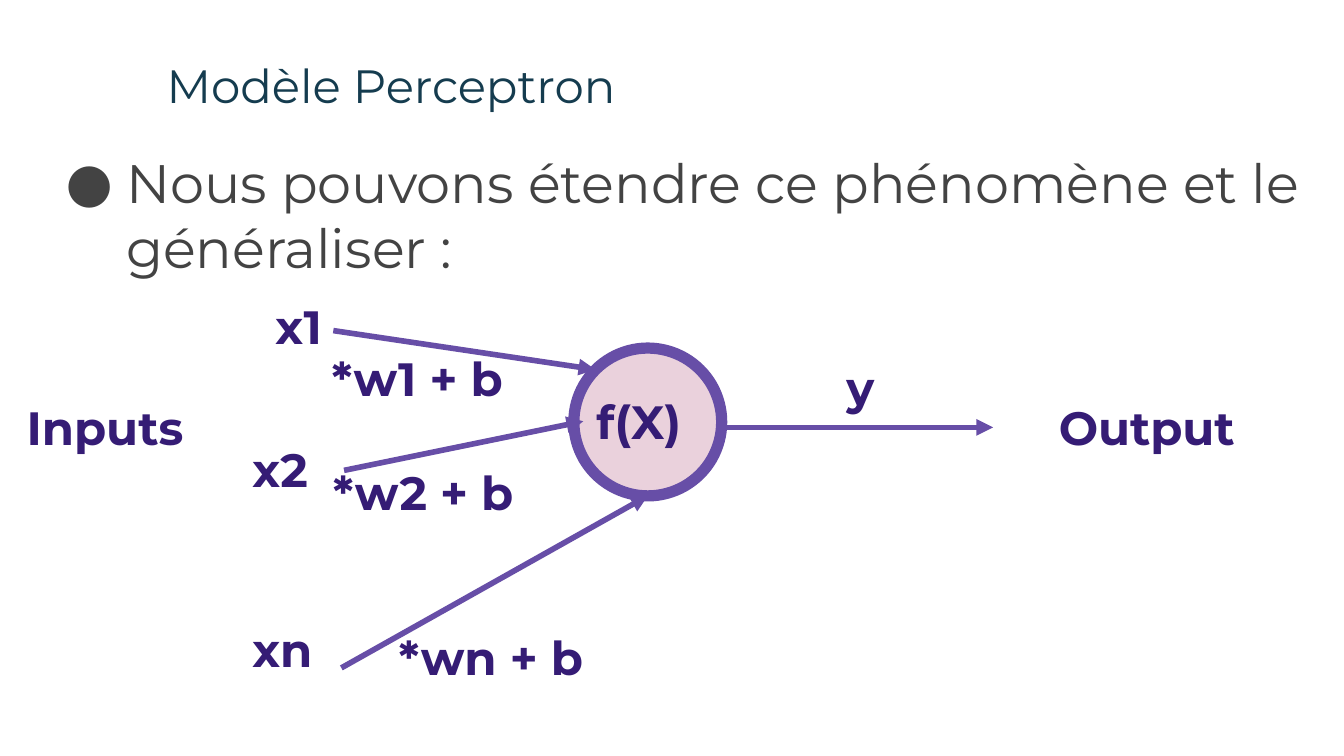
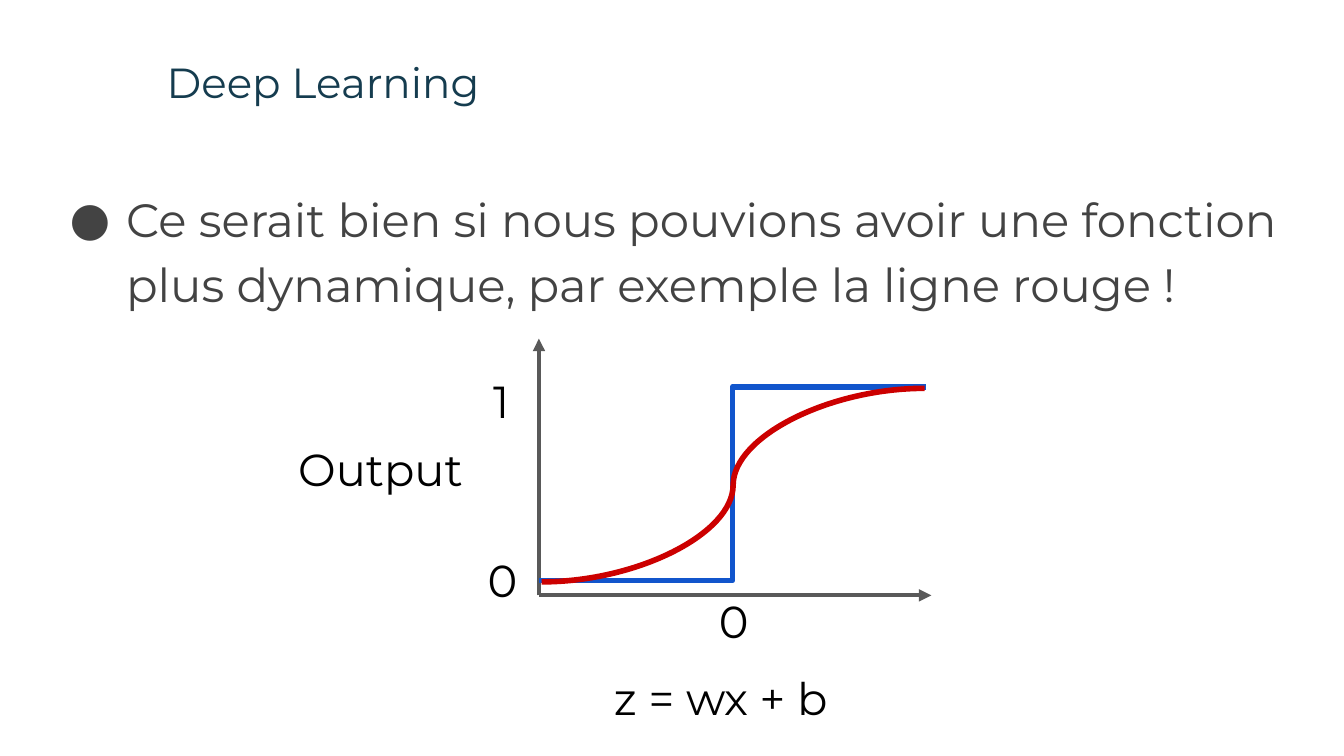
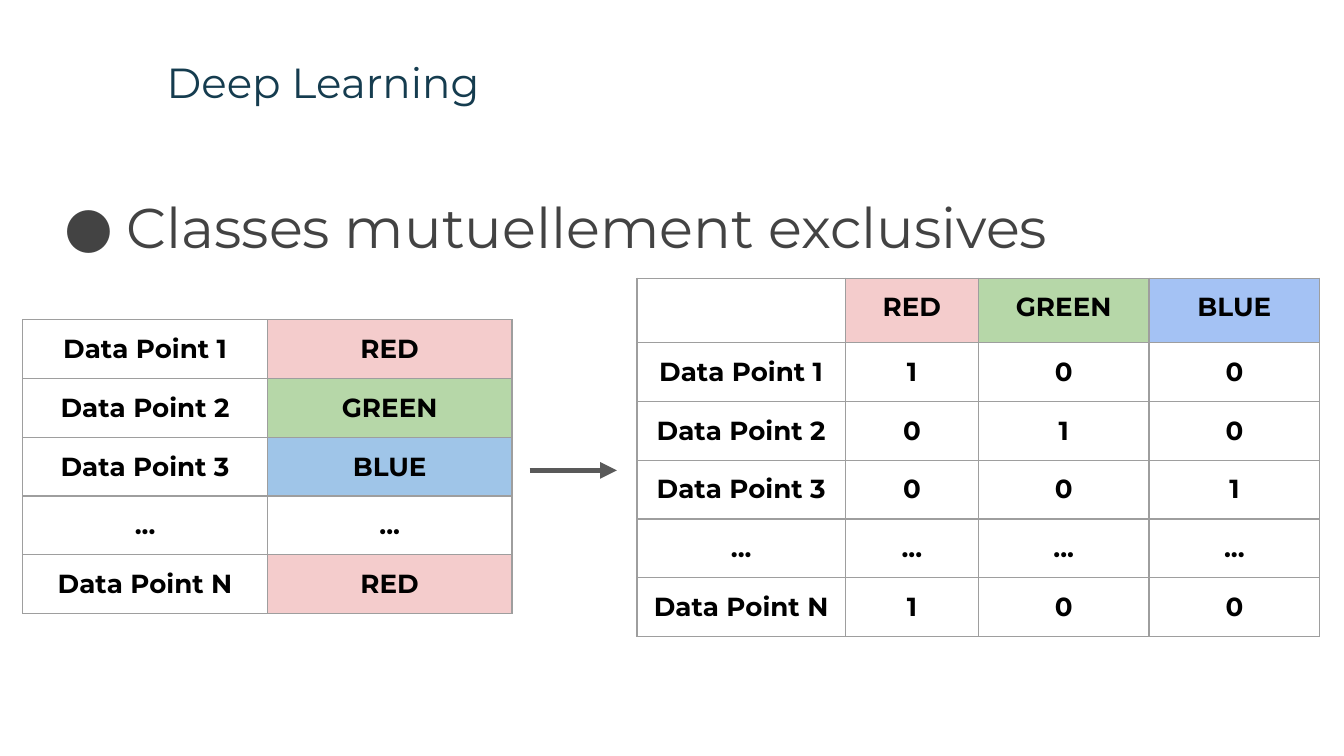
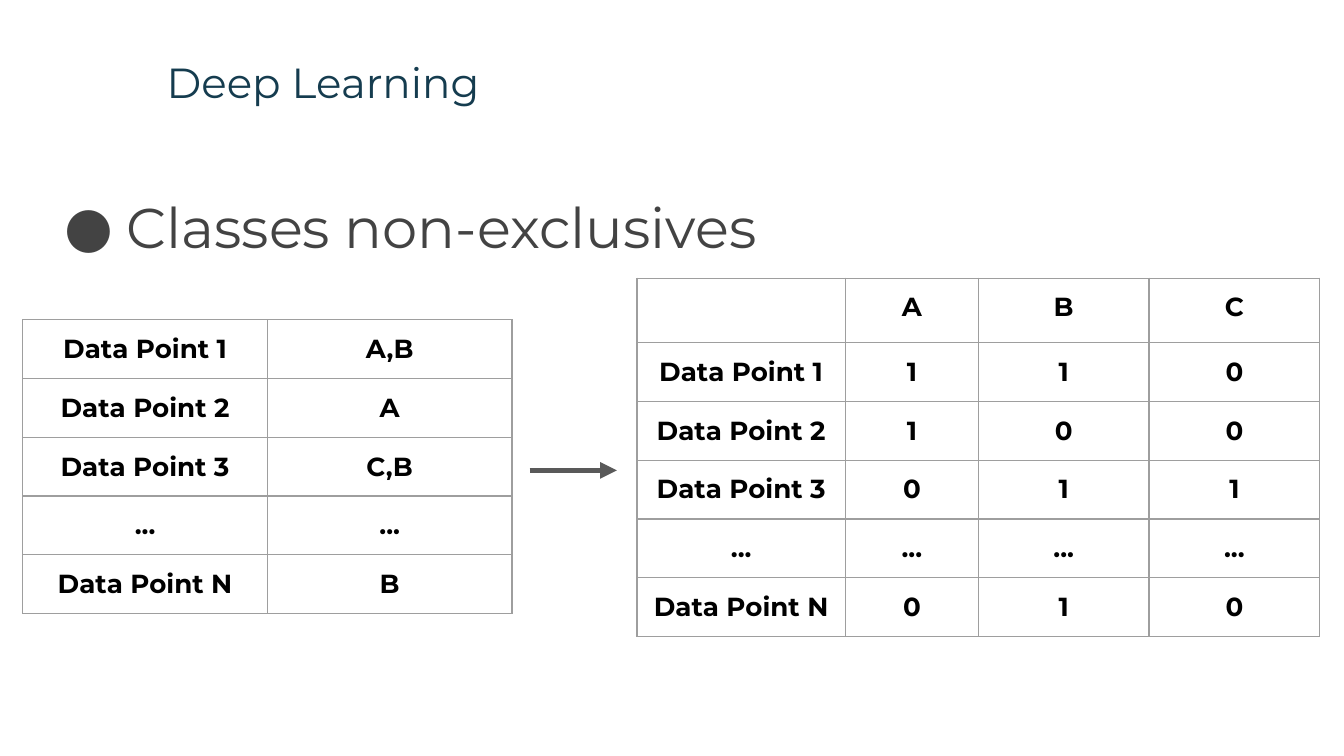
from dataclasses import dataclass

from lxml import etree
from pptx import Presentation
from pptx.dml.color import RGBColor
from pptx.enum.shapes import MSO_CONNECTOR, MSO_SHAPE
from pptx.enum.text import MSO_ANCHOR, MSO_AUTO_SIZE, PP_ALIGN
from pptx.oxml.ns import qn
from pptx.util import Inches, Pt

STRAIGHT, ELBOW, CURVE = MSO_CONNECTOR.STRAIGHT, MSO_CONNECTOR.ELBOW, MSO_CONNECTOR.CURVE
OVAL = MSO_SHAPE.OVAL
TOP, LEFT, CENTER = MSO_ANCHOR.TOP, PP_ALIGN.LEFT, PP_ALIGN.CENTER
NO_AUTOFIT = MSO_AUTO_SIZE.NONE
LEFT_SIDE = 1
TITLE_ONLY = 5


@dataclass(frozen=True)
class Theme:
    font: str = "Montserrat"
    # Colours
    title: str = "153C4F"
    body: str = "434343"
    text: str = "000000"
    node_text: str = "351C75"
    node_line: str = "674EA7"
    node_fill: str = "EAD1DC"
    axis: str = "595959"
    step: str = "1155CC"
    sigmoid: str = "CC0000"
    border: str = "9E9E9E"
    red: str = "F4CCCC"
    green: str = "B6D7A8"
    sky: str = "9FC5E8"
    blue: str = "A4C2F4"
    # Type sizes and line widths, in points
    title_size: float = 22.5
    node_size: float = 25
    plot_size: float = 24
    cell_size: float = 14
    thick: float = 6
    line: float = 3
    axis_line: float = 2.25
    cell_line: float = 0.75
    # Insets, in inches
    inset: float = 0.1


THEME = Theme()


@dataclass(frozen=True)
class Box:
    """An area in inches; parts are placed relative to its corner."""
    left: float
    top: float
    width: float
    height: float

    def inside(self, x, y, width=0, height=0):
        return Box(self.left + x, self.top + y, width, height)

    def lengths(self):
        return [Inches(v) for v in (self.left, self.top, self.width, self.height)]


TITLE_BOX = Box(1.14, 0.32, 8.52, 0.63)


def color(value):
    return RGBColor.from_string(value)


# Text

def set_font(para, size, ink, bold=False):
    font = para.font
    font.name, font.size, font.bold = THEME.font, Pt(size), bold
    font.color.rgb = color(ink)


def prepare_frame(frame):
    frame.word_wrap = True
    frame.auto_size = NO_AUTOFIT
    frame.vertical_anchor = TOP
    frame.margin_left = frame.margin_right = Inches(THEME.inset)
    frame.margin_top = frame.margin_bottom = Inches(THEME.inset)


def add_text(page, box, text, size, ink, bold=False):
    shape = page.shapes.add_textbox(*box.lengths())
    prepare_frame(shape.text_frame)
    para = shape.text_frame.paragraphs[0]
    para.text = text
    set_font(para, size, ink, bold)
    return shape


def add_bullet(page, box, text, size, hanging, spacing=None):
    frame = page.shapes.add_textbox(*box.lengths()).text_frame
    prepare_frame(frame)
    para = frame.paragraphs[0]
    para.text = text
    if spacing:
        para.line_spacing = spacing
    properties = para._p.get_or_add_pPr()
    properties.set("marL", str(Inches(0.5)))
    properties.set("indent", str(-Inches(hanging)))
    bullet_color = etree.SubElement(properties, qn("a:buClr"))
    etree.SubElement(bullet_color, qn("a:srgbClr"), val=THEME.body)
    etree.SubElement(properties, qn("a:buFont"), typeface=THEME.font)
    etree.SubElement(properties, qn("a:buChar"), char="●")
    set_font(para, size, THEME.body)


def add_page(deck, title, size=THEME.title_size):
    page = deck.slides.add_slide(deck.slide_layouts[TITLE_ONLY])
    shape = page.shapes.title
    shape.left, shape.top, shape.width, shape.height = TITLE_BOX.lengths()
    prepare_frame(shape.text_frame)
    para = shape.text_frame.paragraphs[0]
    para.text = title
    para.alignment = LEFT
    set_font(para, size, THEME.title)
    return page


# Lines

def add_line(page, start, end, ink, width, kind=STRAIGHT, arrow=True):
    line = page.shapes.add_connector(
        kind, *start.lengths()[:2], *end.lengths()[:2])
    line.line.color.rgb = color(ink)
    line.line.width = Pt(width)
    if arrow:
        etree.SubElement(line.line._get_or_add_ln(), qn("a:tailEnd"), type="triangle")
    etree.SubElement(line._element.spPr, qn("a:effectLst"))
    return line


# Perceptron diagram

def add_perceptron(page, box):
    # Neuron
    neuron = page.shapes.add_shape(OVAL, *box.inside(4.17, 0.47, 1.1, 1.1).lengths())
    neuron.shadow.inherit = False
    neuron.fill.solid()
    neuron.fill.fore_color.rgb = color(THEME.node_fill)
    neuron.line.color.rgb = color(THEME.node_line)
    neuron.line.width = Pt(THEME.thick)

    # Labels: text, left, top, width
    labels = {}
    for text, x, y, width in (
        ("Inputs", 0, 0.75, 2.33), ("Output", 7.68, 0.75, 2.33),
        ("x1", 1.85, 0, 0.97), ("x2", 1.68, 1.06, 0.97), ("xn", 1.68, 2.4, 0.97),
        ("*w1 + b", 2.27, 0.38, 1.95), ("*w2 + b", 2.28, 1.23, 1.95),
        ("*wn + b", 2.77, 2.46, 2.53),
        ("f(X)", 4.24, 0.7, 0.97), ("y", 6.1, 0.45, 0.97),
    ):
        labels[text] = add_text(page, box.inside(x, y, width, 0.63), text,
                                THEME.node_size, THEME.node_text, bold=True)

    # Arrows: x1, x2, xn into the neuron, then y out of it
    arrows = [
        add_line(page, box.inside(*start), box.inside(*end), THEME.node_line, THEME.line)
        for start, end in (
            ((2.38, 0.34), (4.33, 0.63)), ((2.46, 1.38), (4.24, 1.02)),
            ((2.44, 2.85), (4.72, 1.57)), ((5.27, 1.06), (7.29, 1.06)))
    ]
    arrows[1].end_connect(labels["f(X)"], LEFT_SIDE)


# Activation functions plot

def add_activation_plot(page, box):
    # Axes
    origin = box.inside(1.89, 1.91)
    for end in (box.inside(1.89, 0), box.inside(4.81, 1.91)):
        add_line(page, origin, end, THEME.axis, THEME.axis_line)

    # Labels: text, left, top, width
    for text, x, y, width in (
        ("z = wx + b", 2.35, 2.37, 2.2), ("Output", 0, 0.67, 1.48),
        ("0", 1.41, 1.49, 1.48), ("1", 1.45, 0.16, 1.48), ("0", 3.13, 1.8, 0.49),
    ):
        add_text(page, box.inside(x, y, width, 0.46), text, THEME.plot_size, THEME.text)

    # Step and sigmoid curves
    add_line(page, box.inside(1.89, 1.8), box.inside(4.77, 0.36),
             THEME.step, THEME.line, ELBOW, arrow=False)
    add_line(page, box.inside(1.91, 1.81), box.inside(4.76, 0.37),
             THEME.sigmoid, THEME.line, CURVE, arrow=False)


# Class encoding tables

def format_cell(cell, text, fill):
    properties = cell._tc.get_or_add_tcPr()
    for side in ("a:lnL", "a:lnR", "a:lnT", "a:lnB"):
        border = etree.SubElement(properties, qn(side), w=str(Pt(THEME.cell_line)))
        paint = etree.SubElement(border, qn("a:solidFill"))
        etree.SubElement(paint, qn("a:srgbClr"), val=THEME.border)
    if fill:
        cell.fill.solid()
        cell.fill.fore_color.rgb = color(fill)
    else:
        cell.fill.background()
    if text:
        cell.margin_left = cell.margin_right = Inches(THEME.inset)
        cell.margin_top = cell.margin_bottom = Inches(THEME.inset)
    para = cell.text_frame.paragraphs[0]
    para.text = text
    para.alignment = CENTER
    set_font(para, THEME.cell_size, THEME.text, bold=True)


def add_grid(page, box, rows, widths, heights, fills):
    area = Box(box.left, box.top, sum(widths), sum(heights))
    table = page.shapes.add_table(len(rows), len(widths), *area.lengths()).table
    table.first_row = table.horz_banding = False
    for column, width in zip(table.columns, widths):
        column.width = Inches(width)
    for row, height, texts in zip(table.rows, heights, rows):
        row.height = Inches(height)
        for cell, text in zip(row.cells, texts):
            format_cell(cell, text, fills.get(text))


def encode(label, classes):
    if label == "...":
        return [label] * len(classes)
    return ["1" if name in label.split(",") else "0" for name in classes]


def add_encoding(page, box, classes, labels, label_fills, class_fills):
    names = ["Data Point 1", "Data Point 2", "Data Point 3", "...", "Data Point N"]
    heights = [0.42] * len(names)
    # One column per class
    encoded = [[name, *encode(label, classes)] for name, label in zip(names, labels)]
    add_grid(page, box.inside(4.57, 0), [["", *classes], *encoded],
             [1.55, 0.99, 1.27, 1.27], [0.48, *heights], class_fills)
    # Labelled points
    add_grid(page, box.inside(0, 0.31), list(zip(names, labels)),
             [1.82, 1.82], heights, label_fills)
    # Arrow from labels to encoding
    add_line(page, box.inside(3.77, 1.43), box.inside(4.42, 1.43), THEME.axis, THEME.line)


def add_encoding_page(deck, heading, *encoding):
    page = add_page(deck, "Deep Learning")
    add_bullet(page, Box(0.34, 1.26, 9.66, 3.65), heading, 30, 0.46, 1.15)
    add_encoding(page, Box(0.17, 2.07, 9.65, 2.67), *encoding)


def main():
    deck = Presentation()
    deck.slide_width, deck.slide_height = Inches(10), Inches(10 * 9 / 16)

    page = add_page(deck, "Modèle Perceptron", 25)
    add_bullet(page, Box(0.34, 1.01, 9.5, 3.74),
               "Nous pouvons étendre ce phénomène et le généraliser :", 29, 0.45)
    add_perceptron(page, Box(0.1, 2.12, 9.9, 3.1))

    page = add_page(deck, "Deep Learning")
    add_bullet(page, Box(0.34, 1.26, 9.66, 1.24),
               "Ce serait bien si nous pouvions avoir une fonction plus dynamique, "
               "par exemple la ligne rouge !", 25, 0.42, 1.15)
    add_activation_plot(page, Box(2.12, 2.52, 4.81, 2.83))

    fills = {"RED": THEME.red, "GREEN": THEME.green}
    add_encoding_page(deck, "Classes mutuellement exclusives",
                      ["RED", "GREEN", "BLUE"], ["RED", "GREEN", "BLUE", "...", "RED"],
                      {**fills, "BLUE": THEME.sky}, {**fills, "BLUE": THEME.blue})
    add_encoding_page(deck, "Classes non-exclusives",
                      ["A", "B", "C"], ["A,B", "A", "C,B", "...", "B"], {}, {})

    deck.save("out.pptx")


if __name__ == "__main__":
    main()
